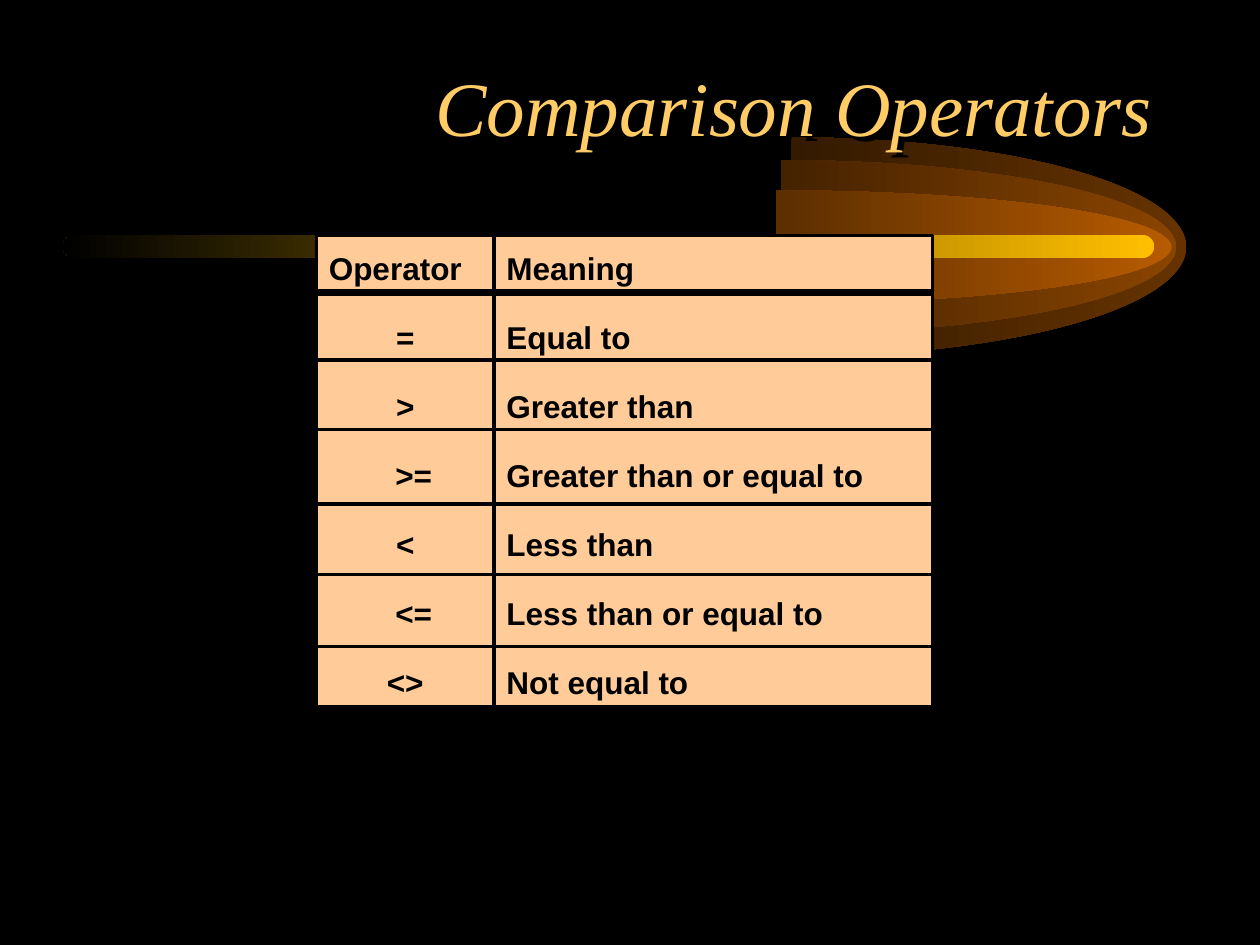
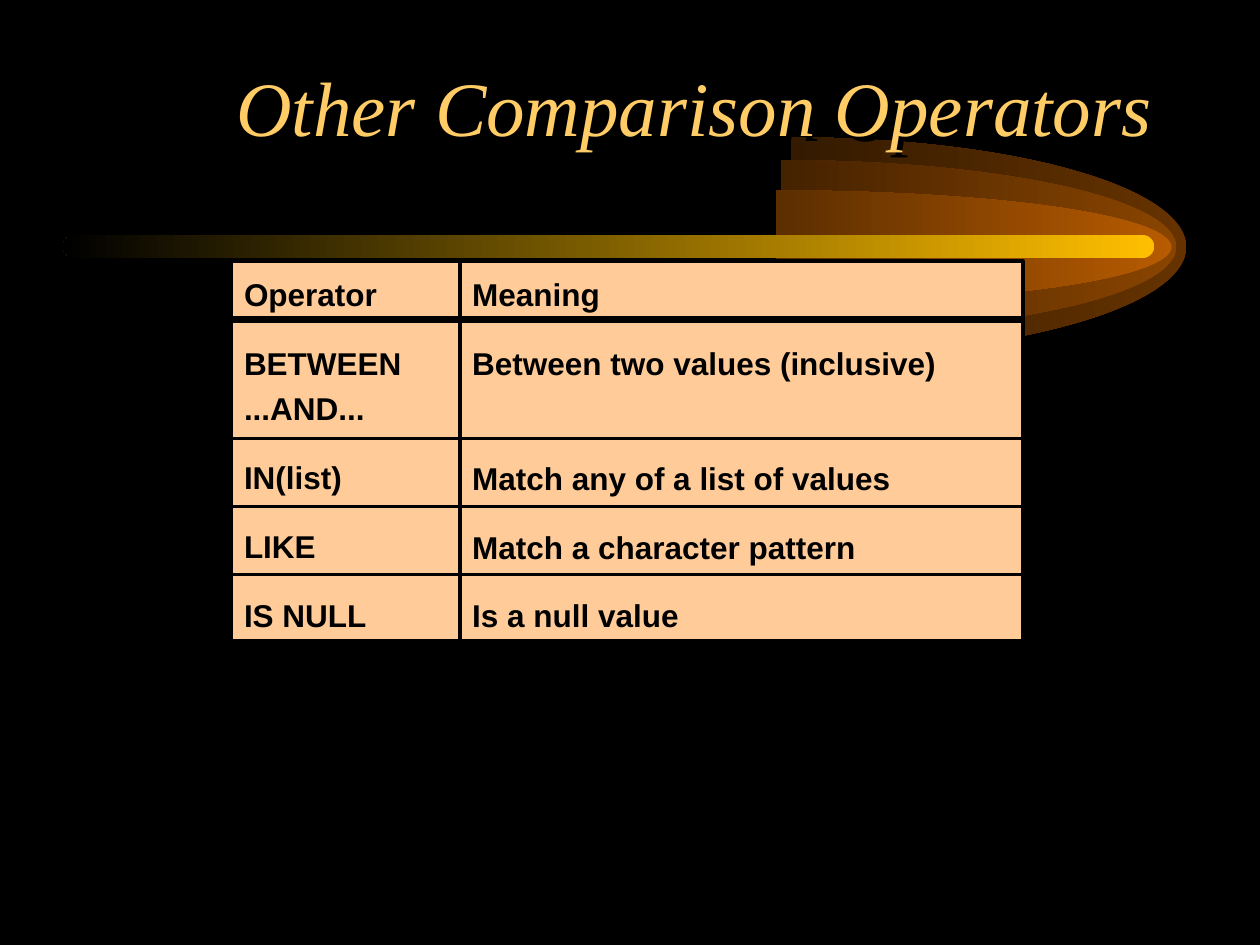
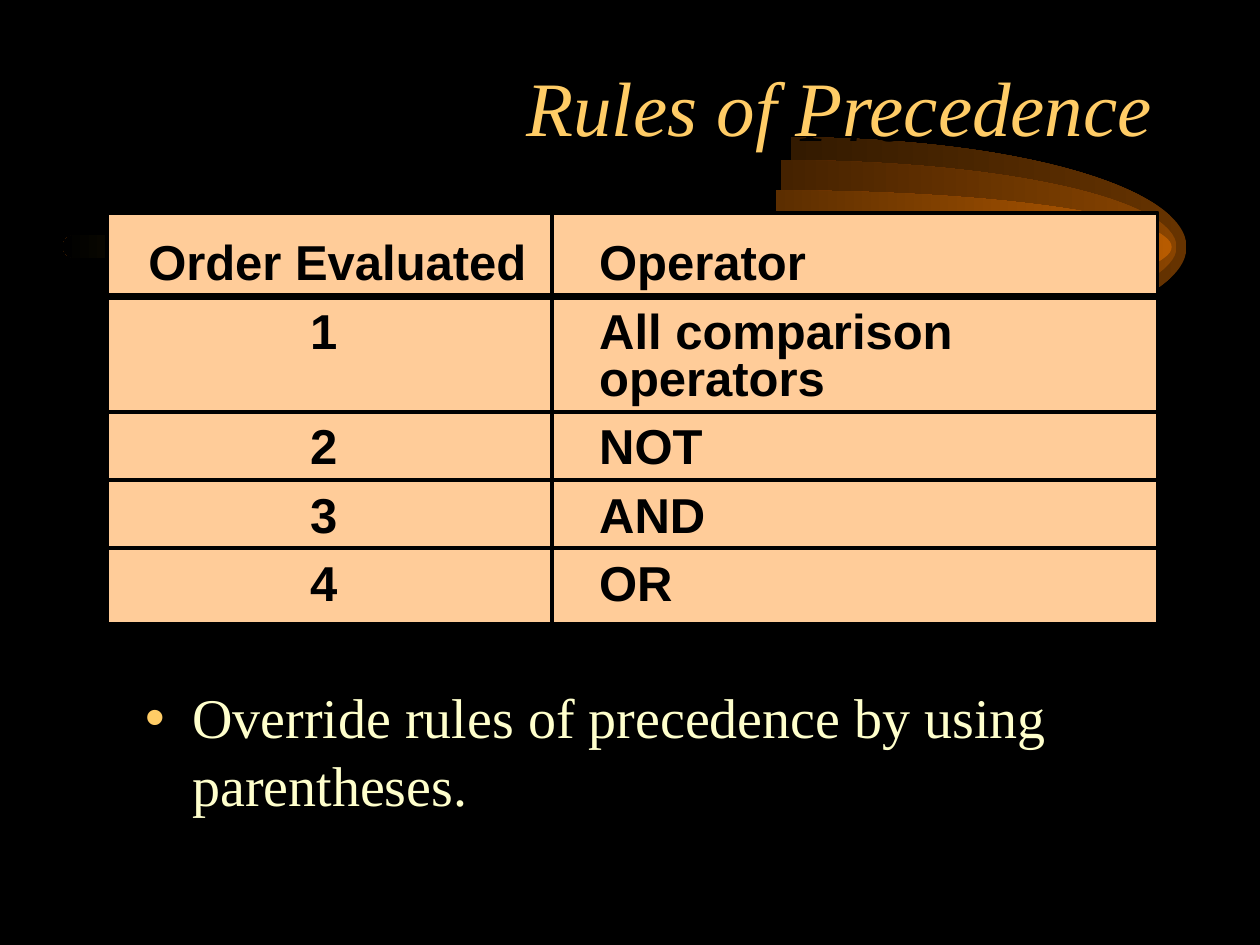
"""Build three slides on SQL comparison operators and rules of precedence."""
import math

import lxml.etree
import pptx
import pptx.dml.color
import pptx.enum.shapes
import pptx.enum.text
import pptx.oxml.ns
import pptx.util

Cm = pptx.util.Cm
Pt = pptx.util.Pt
ALIGN = pptx.enum.text.PP_ALIGN
SHAPES = pptx.enum.shapes.MSO_SHAPE
CONNECTORS = pptx.enum.shapes.MSO_CONNECTOR

BLACK = "000000"
GOLD = "FFCC66"
CREAM = "FFFFCC"
PEACH = "FFCC99"
BAR_GOLD = "FFBF00"
SERIF = "Times New Roman"
SANS = "Arial"

THIN_RULE = 2
HEADER_RULE = 4
GLOW_CENTRE_Y = 4.98
GLOW_RADIUS_X = 7.97
GLOWS = [
    (15.95, 2.21, "663300", "331A00"),
    (15.75, 1.75, "894400", "452200"),
    (15.65, 1.14, "B75B00", "5C2E00"),
]


def color(value):
    """Turn a hex string into a colour."""
    return pptx.dml.color.RGBColor.from_string(value)


def add_element(parent, tag, **attributes):
    """Append a DrawingML element and return it."""
    return lxml.etree.SubElement(parent, pptx.oxml.ns.qn(tag), attributes)


def format_font(font, name, size, value):
    """Set the face, size and colour of a font."""
    font.name = name
    font.size = Pt(size)
    font.color.rgb = color(value)


def fade_left(shape, right, left):
    """Fill a shape with a gradient running from its right to its left."""
    shape.shadow.inherit = False
    shape.line.fill.background()
    shape.fill.gradient()
    shape.fill.gradient_angle = 180
    for stop, value in zip(shape.fill.gradient_stops, (right, left)):
        stop.color.rgb = color(value)


def half_ellipse(centre_x, radius_y):
    """Return the start and the Bézier points of a right half-ellipse."""
    step = math.pi / 4
    handle = 4 / 3 * math.tan(step / 4)

    def point(angle, reach):
        """Return the point at an angle, moved along its tangent."""
        across = math.cos(angle) - reach * math.sin(angle)
        down = math.sin(angle) + reach * math.cos(angle)
        return (Cm(centre_x + GLOW_RADIUS_X * across),
                Cm(GLOW_CENTRE_Y + radius_y * down))

    points = [point(-2 * step, 0)]
    for index in range(-2, 2):
        start, end = index * step, (index + 1) * step
        points += [point(start, handle), point(end, -handle), point(end, 0)]
    return points


def curve_outline(shape):
    """Turn each three straight segments of an outline into one curve."""
    segments = list(shape.element.iter(pptx.oxml.ns.qn("a:lnTo")))
    for index in range(0, len(segments), 3):
        outline = segments[index].getparent()
        curve = add_element(outline, "a:cubicBezTo")
        segments[index].addprevious(curve)
        for segment in segments[index:index + 3]:
            curve.append(segment[0])
            outline.remove(segment)


def add_glow(slide, centre_x, radius_y, right, left):
    """Draw one glowing half-ellipse."""
    points = half_ellipse(centre_x, radius_y)
    builder = slide.shapes.build_freeform(*points[0])
    builder.add_line_segments(points[1:], close=False)
    glow = builder.convert_to_shape()
    curve_outline(glow)
    fade_left(glow, right, left)
    return glow


def add_bar(slide):
    """Draw the gold bar that fades to the left."""
    bar = slide.shapes.add_shape(
        SHAPES.ROUNDED_RECTANGLE, Cm(1.27), Cm(4.74), Cm(22), Cm(0.46))
    bar.adjustments[0] = 0.5
    fade_left(bar, BAR_GOLD, BLACK)
    return bar


def decorate_master(deck, slide):
    """Move the background, glows and bar to the slide master."""
    master = deck.slide_master
    master.background.fill.solid()
    master.background.fill.fore_color.rgb = color(BLACK)
    ornaments = [add_glow(slide, *glow) for glow in GLOWS] + [add_bar(slide)]
    for position, ornament in enumerate(ornaments, start=2):
        master.shapes.element.insert(position, ornament.element)


def prepare_frame(shape, text):
    """Put wrapped text at the top of a shape without automatic fitting."""
    frame = shape.text_frame
    frame.text = text
    frame.word_wrap = True
    frame.auto_size = pptx.enum.text.MSO_AUTO_SIZE.NONE
    frame.vertical_anchor = pptx.enum.text.MSO_ANCHOR.TOP
    return frame.paragraphs


def fill_placeholder(shape, text, left, top, width, height):
    """Move a placeholder, write its text and return its paragraph."""
    shape.left, shape.top = Cm(left), Cm(top)
    shape.width, shape.height = Cm(width), Cm(height)
    return prepare_frame(shape, text)[0]


def set_title(slide, text):
    """Fill the title placeholder with shadowed gold italics."""
    title = slide.shapes.title
    paragraph = fill_placeholder(title, text, 1.9, 1.07, 21.59, 3.18)
    paragraph.alignment = ALIGN.RIGHT
    format_font(paragraph.font, SERIF, 44, GOLD)
    paragraph.font.italic = True
    effects = add_element(title.element.spPr, "a:effectLst")
    shadow = add_element(effects, "a:outerShdw", dist="53882", dir="2700000")
    add_element(shadow, "a:srgbClr", val=BLACK)


def set_bullet(slide, text):
    """Fill the body placeholder with one bulleted line."""
    paragraph = fill_placeholder(
        slide.placeholders[1], text, 2.67, 13.64, 20.52, 2.97)
    bullet = add_element(paragraph._p.get_or_add_pPr(), "a:buClr")
    add_element(bullet, "a:srgbClr", val=GOLD)
    paragraph.space_before = Pt(0)
    format_font(paragraph.font, SERIF, 32, CREAM)


def add_panel(slide, left, top, width, height):
    """Draw a peach rectangle with a black outline."""
    panel = slide.shapes.add_shape(
        SHAPES.RECTANGLE, Cm(left), Cm(top), Cm(width), Cm(height))
    panel.shadow.inherit = False
    panel.fill.solid()
    panel.fill.fore_color.rgb = color(PEACH)
    panel.line.color.rgb = color(BLACK)
    panel.line.width = Pt(THIN_RULE)
    return panel


def write_entries(shape, entries, size, spacing, gap, alignment=ALIGN.LEFT,
                  tabs=()):
    """Write bold entries, the heading at the left, and return them."""
    paragraphs = prepare_frame(shape, "\n".join(entries))
    for index, paragraph in enumerate(paragraphs):
        if tabs:
            stops = add_element(paragraph._p.get_or_add_pPr(), "a:tabLst")
            for position, side in tabs:
                add_element(stops, "a:tab", pos=str(Cm(position)), algn=side)
        paragraph.alignment = alignment if index else ALIGN.LEFT
        paragraph.line_spacing = spacing
        paragraph.space_before = Pt(gap if index else 0)
        format_font(paragraph.font, SANS, size, BLACK)
        paragraph.font.bold = True
    return paragraphs


def add_column(slide, box, entries, alignment=ALIGN.LEFT):
    """Draw a panel holding one column of entries."""
    return write_entries(
        add_panel(slide, *box), entries, 18, 1.2, 13.5, alignment)


def add_rule(slide, start, end, width=THIN_RULE):
    """Draw a straight black line."""
    rule = slide.shapes.add_connector(
        CONNECTORS.STRAIGHT, *map(Cm, start + end))
    rule.line.color.rgb = color(BLACK)
    rule.line.width = Pt(width)
    add_element(rule.element.spPr, "a:effectLst")


def add_row_rules(slide, left, right, heights):
    """Draw a heavy rule under the header and thin ones under the rows."""
    for index, height in enumerate(heights):
        add_rule(slide, (left, height), (right, height),
                 THIN_RULE if index else HEADER_RULE)


def add_comparison_slide(slide):
    """Show the six comparison operators."""
    set_title(slide, "Comparison Operators")
    operators = add_column(
        slide, (6.38, 4.75, 3.58, 9.5),
        ["Operator", "=", ">", ">=", "<", "<=", "<>"], ALIGN.CENTER)
    for paragraph in (operators[3], operators[5]):
        paragraph._p.get_or_add_pPr().set("marL", str(Cm(0.34)))
    add_column(
        slide, (9.96, 4.75, 8.84, 9.5),
        ["Meaning", "Equal to", "Greater than", "Greater than or equal to",
         "Less than", "Less than or equal to", "Not equal to"])
    add_row_rules(slide, 6.38, 18.77, [5.89, 7.26, 8.66, 10.16, 11.58, 13.03])


def add_other_operators_slide(slide):
    """Show the operators for ranges, lists, patterns and nulls."""
    set_title(slide, "Other Comparison Operators")
    add_column(
        slide, (4.67, 5.26, 4.65, 7.65),
        ["Operator", "BETWEEN\v...AND...", "IN(list)", "LIKE", "IS NULL"])
    meanings = add_column(
        slide, (9.27, 5.26, 11.35, 7.65),
        ["Meaning", "Between two values (inclusive)",
         "Match any of a list of values", "Match a character pattern",
         "Is a null value"])
    meanings[2].space_before = Pt(39.8)
    add_row_rules(slide, 4.65, 20.62, [6.44, 8.84, 10.21, 11.58])


def add_precedence_slide(slide):
    """Show the order in which operators are evaluated."""
    set_title(slide, "Rules of Precedence")
    set_bullet(slide, "Override rules of precedence by using parentheses.")
    add_panel(slide, 2.16, 4.29, 21.18, 8.28)
    add_row_rules(slide, 2.13, 23.34, [5.97, 8.31, 9.68, 11.05])
    add_rule(slide, (11.13, 4.27), (11.13, 12.62))
    box = slide.shapes.add_textbox(Cm(2.74), Cm(4.78), Cm(21.51), Cm(7.67))
    write_entries(
        box,
        ["Order Evaluated\tOperator", "\t1\tAll comparison\v\t\toperators",
         "\t2\tNOT", "\t3\tAND", "\t4\tOR"],
        28, 0.8, 12.2, tabs=[(3.81, "r"), (9.09, "l")])


def main():
    """Build and save the deck."""
    deck = pptx.Presentation()
    deck.slide_width, deck.slide_height = Cm(25.4), Cm(19.05)
    title_only, title_and_body = deck.slide_layouts[5], deck.slide_layouts[1]

    slide = deck.slides.add_slide(title_only)
    decorate_master(deck, slide)
    add_comparison_slide(slide)
    add_other_operators_slide(deck.slides.add_slide(title_only))
    add_precedence_slide(deck.slides.add_slide(title_and_body))

    deck.save("out.pptx")


if __name__ == "__main__":
    main()
